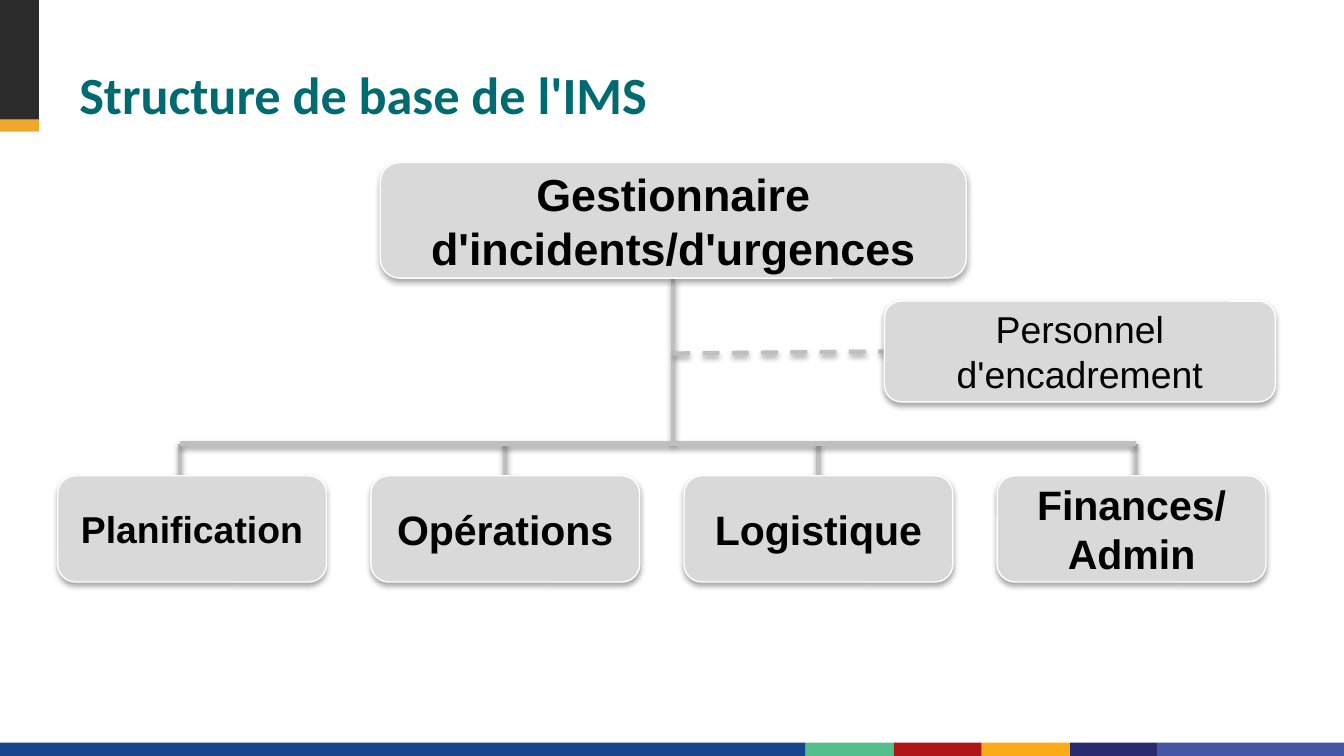
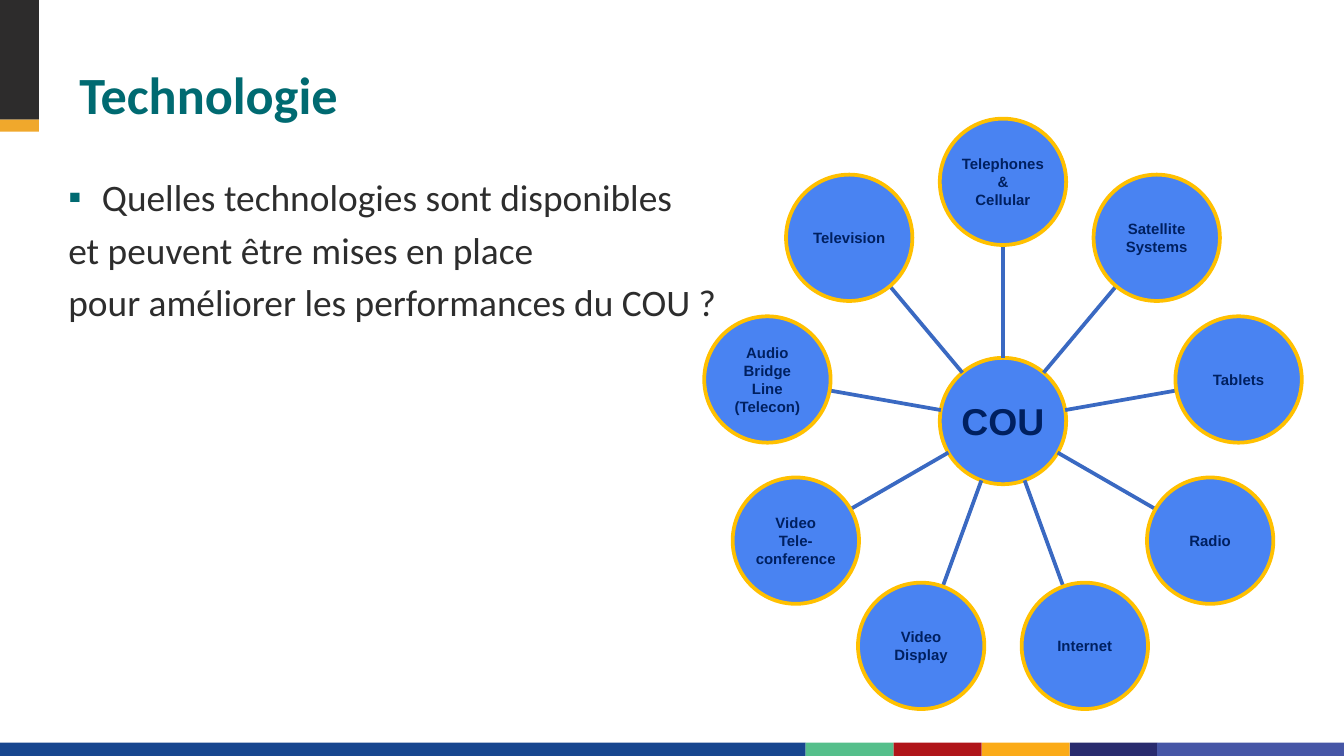
import math
from dataclasses import dataclass
from itertools import pairwise

from lxml import etree
from pptx import Presentation
from pptx import util as u
from pptx.dml.color import RGBColor
from pptx.enum import dml, shapes, text
from pptx.oxml import ns


@dataclass(frozen=True)
class Theme:
    title: str = "006A71"
    body: str = "2D2D2D"
    black: str = "000000"
    white: str = "FFFFFF"
    role_fill: str = "D9D9D9"
    link: str = "BFBFBF"
    node_fill: str = "4983F2"
    node_edge: str = "FFC000"
    node_text: str = "002060"
    spoke: str = "3A69C2"
    tab_dark: str = "2D2C2C"
    tab_gold: str = "F0A82C"
    footer: tuple = ("17468F", "55BF8B", "B01519", "FBAB18", "292B6E", "4656A6")
    heading_font: str = "Calibri"
    diagram_font: str = "Arial"
    title_size: int = 28
    lead_size: int = 24
    section_size: int = 22
    text_size: int = 20
    node_size: int = 8


THEME = Theme()
COLUMNS, ROWS = 100, 56.25
CELL = u.Inches(0.1)
FOOTER_EDGES = (0, 59.95, 66.5, 73.05, 79.6, 86.1, COLUMNS)


def cells(*lengths):
    return [u.Emu(round(length * CELL)) for length in lengths]


def rgb(code):
    return RGBColor.from_string(code)


def add_run(paragraph, words, size, color, font, bold=False):
    run = paragraph.add_run()
    run.text = words
    run.font.size = u.Pt(size)
    run.font.name = font
    run.font.bold = bold
    run.font.color.rgb = rgb(color)


def paragraphs(frame, lines):
    for index, line in enumerate(lines):
        yield frame.add_paragraph() if index else frame.paragraphs[0], line


def add_shadow(effects, opacity, distance):
    cast = etree.SubElement(effects, ns.qn("a:outerShdw"), blurRad=str(u.Pt(3.1)),
                            dist=str(u.Pt(distance)), dir="5400000", rotWithShape="0")
    color = etree.SubElement(cast, ns.qn("a:srgbClr"), val=THEME.black)
    etree.SubElement(color, ns.qn("a:alpha"), val=str(opacity * 1000))


def add_block(slide, kind, box, fill, edge=None, weight=0):
    block = slide.shapes.add_shape(kind, *cells(*box))
    block.shadow.inherit = False
    block.fill.solid()
    block.fill.fore_color.rgb = rgb(fill)
    if edge:
        block.line.color.rgb = rgb(edge)
        block.line.width = u.Pt(weight)
    else:
        block.line.fill.background()
    return block


def add_label(block, lines, size, color, bold=True, inset=None):
    frame = block.text_frame
    frame.word_wrap = True
    frame.vertical_anchor = text.MSO_ANCHOR.MIDDLE
    if inset is not None:
        frame.margin_left = frame.margin_right = u.Inches(inset)
        frame.margin_top = frame.margin_bottom = u.Inches(inset)
    for paragraph, line in paragraphs(frame, lines):
        paragraph.alignment = text.PP_ALIGN.CENTER
        add_run(paragraph, line, size, color, THEME.diagram_font, bold)


def add_role(slide, box, lines, size, bold=True):
    role = add_block(slide, shapes.MSO_SHAPE.ROUNDED_RECTANGLE, box,
                     THEME.role_fill, THEME.white, 0.75)
    add_shadow(role.element.spPr.find(ns.qn("a:effectLst")), 35, 1.8)
    add_label(role, lines, size, THEME.black, bold)
    return role


def add_line(slide, start, end, color, weight, dashed=False):
    line = slide.shapes.add_connector(shapes.MSO_CONNECTOR.STRAIGHT, *cells(*start, *end))
    line.line.color.rgb = rgb(color)
    line.line.width = u.Pt(weight)
    if dashed:
        line.line.dash_style = dml.MSO_LINE.DASH
    return line, etree.SubElement(line.element.spPr, ns.qn("a:effectLst"))


def add_link(slide, start, end, dashed=False):
    link, effects = add_line(slide, start, end, THEME.link, 2.25, dashed)
    add_shadow(effects, 38, 1.6)
    return link


def add_node(slide, center, radius, lines, size):
    x, y = center
    node = add_block(slide, shapes.MSO_SHAPE.OVAL,
                     (x - radius, y - radius, 2 * radius, 2 * radius),
                     THEME.node_fill, THEME.node_edge, 2)
    add_label(node, lines, size, THEME.node_text, inset=0.01)


def add_question(slide, box, lines):
    frame = slide.shapes.add_textbox(*cells(*box)).text_frame
    frame.word_wrap = True
    for index, (paragraph, line) in enumerate(paragraphs(frame, lines)):
        if index:
            paragraph.space_before = u.Pt(4)
        else:
            add_bullet(paragraph)
        add_run(paragraph, line, THEME.text_size, THEME.body, THEME.heading_font)


def add_bullet(paragraph):
    indent = u.Inches(0.25)
    props = paragraph._p.get_or_add_pPr()
    props.set("marL", str(indent))
    props.set("indent", str(-indent))
    color = etree.SubElement(props, ns.qn("a:buClr"))
    etree.SubElement(color, ns.qn("a:srgbClr"), val=THEME.title)
    etree.SubElement(props, ns.qn("a:buFont"), typeface=THEME.diagram_font)
    etree.SubElement(props, ns.qn("a:buChar"), char="▪")


def add_titled_slide(deck, heading):
    slide = deck.slides.add_slide(deck.slide_layouts[5])
    rectangle = shapes.MSO_SHAPE.RECTANGLE
    for (left, right), color in zip(pairwise(FOOTER_EDGES), THEME.footer):
        add_block(slide, rectangle, (left, ROWS - 1, right - left, 1), color)
    add_block(slide, rectangle, (0, 0, 2.9, 8.9), THEME.tab_dark)
    add_block(slide, rectangle, (0, 8.9, 2.9, 0.9), THEME.tab_gold)

    title = slide.shapes.title
    title.left, title.top, title.width, title.height = cells(4.9, 2.3, 90, 7.5)
    frame = title.text_frame
    frame.auto_size = text.MSO_AUTO_SIZE.NONE
    frame.word_wrap = True
    frame.vertical_anchor = text.MSO_ANCHOR.BOTTOM
    paragraph = frame.paragraphs[0]
    paragraph.alignment = text.PP_ALIGN.LEFT
    paragraph.line_spacing = u.Pt(30)
    add_run(paragraph, heading, THEME.title_size, THEME.title, THEME.heading_font, True)
    return slide


def build_structure(deck):
    slide = add_titled_slide(deck, "Structure de base de l'IMS")
    trunk_x, bus_y, bus_left, bus_right = 50.1, 33, 13.4, 84.5
    section_top, section_width, section_step = 35.4, 20, 23.3
    sections = (
        (["Planification"], THEME.text_size),
        (["Opérations"], THEME.section_size),
        (["Logistique"], THEME.section_size),
        (["Finances/", "Admin"], THEME.section_size),
    )

    trunk = add_link(slide, (trunk_x, 20.7), (trunk_x, bus_y))
    manager = add_role(slide, (28.3, 12.1, 43.6, 8.6),
                       ["Gestionnaire d'incidents/d'urgences"], THEME.lead_size)
    trunk.begin_connect(manager, 2)

    outer_drops = {0: bus_left, len(sections) - 1: bus_right}
    for index, (lines, size) in enumerate(sections):
        left = 4.3 + index * section_step
        drop_x = outer_drops.get(index, left + section_width / 2)
        drop = add_link(slide, (drop_x, bus_y), (drop_x, section_top))
        section = add_role(slide, (left, section_top, section_width, 7.9), lines, size)
        if index not in outer_drops:
            drop.end_connect(section, 0)
    add_link(slide, (bus_left, bus_y), (bus_right, bus_y))

    advice = add_link(slide, (trunk_x, 26.3), (65.8, 26.2), dashed=True)
    staff = add_role(slide, (65.8, 22.4, 29.1, 7.5),
                     ["Personnel d'encadrement"], THEME.text_size, bold=False)
    advice.end_connect(staff, 1)


def build_technology(deck):
    slide = add_titled_slide(deck, "Technologie")
    add_question(slide, (4.1, 12.5, 89.2, 36.5), (
        "Quelles technologies sont disponibles",
        "et peuvent être mises en place",
        "pour améliorer les performances du COU ?",
    ))
    hub, radius, orbit = (74.63, 31.33), 4.7, 17.8
    technologies = (
        ["Telephones", "&", "Cellular"],
        ["Satellite", "Systems"],
        ["Tablets"],
        ["Radio"],
        ["Internet"],
        ["Video", "Display"],
        ["Video", "Tele-", "conference"],
        ["Audio", "Bridge", "Line (Telecon)"],
        ["Television"],
    )

    def around_hub(distance, angle):
        return (hub[0] + distance * math.sin(angle), hub[1] - distance * math.cos(angle))

    add_node(slide, hub, radius, ["COU"], THEME.text_size)
    for index, lines in enumerate(technologies):
        angle = math.tau * index / len(technologies)
        add_line(slide, around_hub(radius, angle), around_hub(orbit - radius, angle),
                 THEME.spoke, 2)
        add_node(slide, around_hub(orbit, angle), radius, lines, THEME.node_size)


def main():
    deck = Presentation()
    deck.slide_width, deck.slide_height = cells(COLUMNS, ROWS)
    build_structure(deck)
    build_technology(deck)
    deck.save("out.pptx")


if __name__ == "__main__":
    main()
